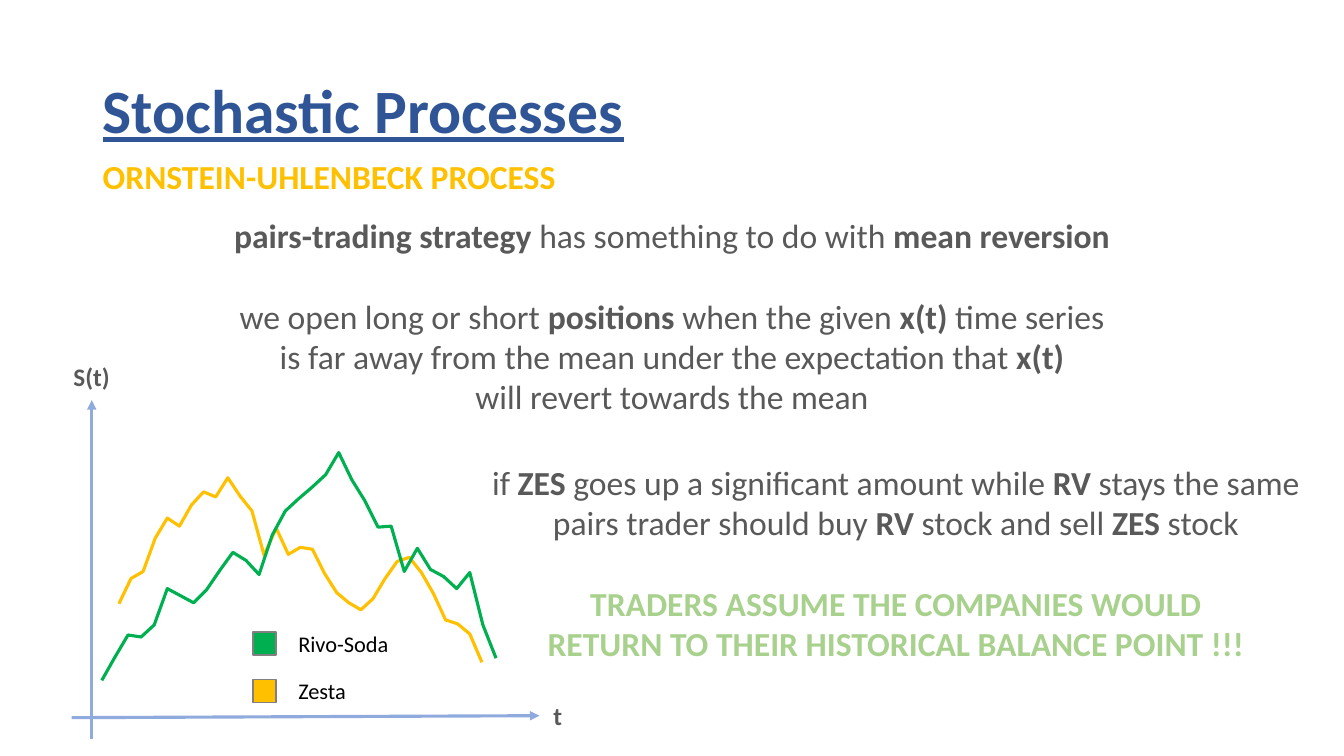
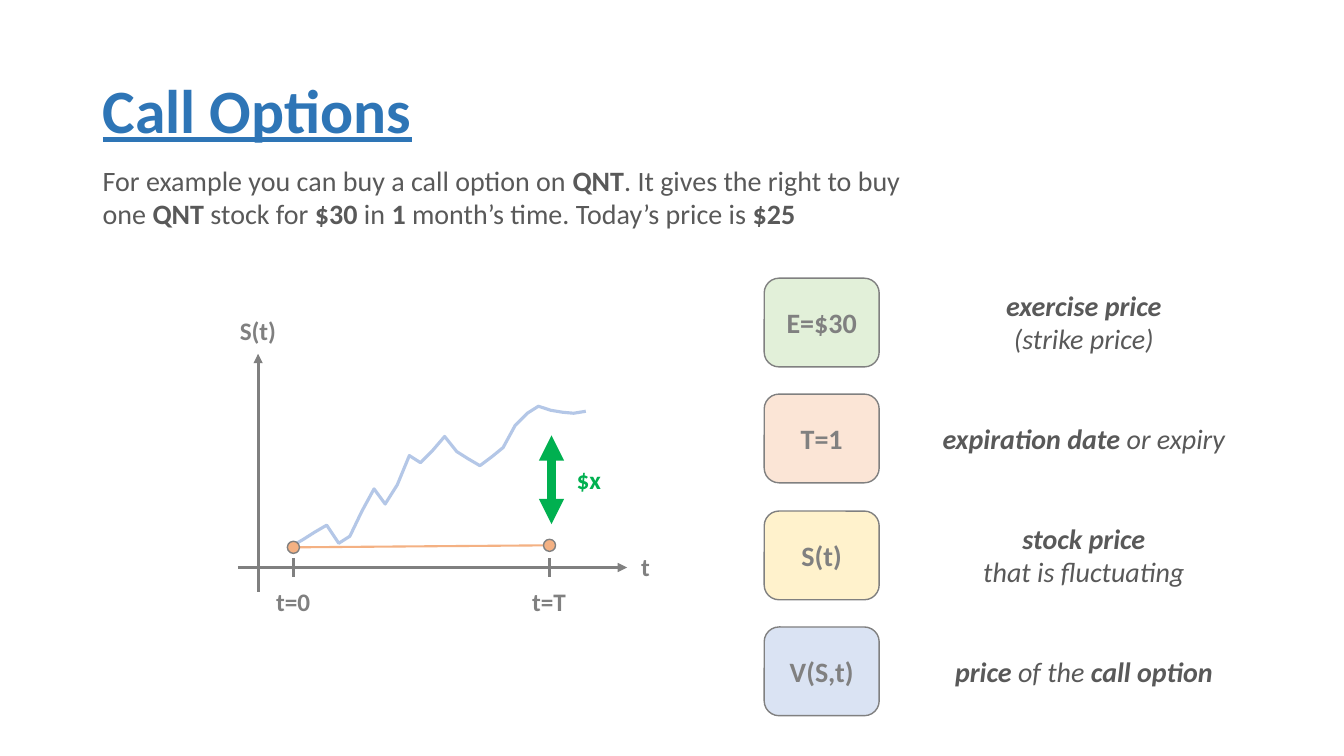
from pptx import Presentation
from pptx.dml.color import RGBColor
from pptx.enum.shapes import MSO_CONNECTOR, MSO_SHAPE
from pptx.enum.text import MSO_ANCHOR, MSO_AUTO_SIZE, PP_ALIGN
from pptx.oxml.ns import qn
from pptx.util import Pt
from lxml.etree import SubElement

PX = 9144  # 100 px to the inch
FONT = "Calibri"
MARGIN = 92
TITLE_BOX = (MARGIN, 40, 1150, 145)
COLORS = {
    "navy": "2F5597", "blue": "2E75B6", "gold": "FFC000", "text": "595959",
    "gray": "808080", "black": "000000", "axis": "8FAADC", "green": "00B050",
    "lime": "A9D18E", "path": "B4C7E7", "orange": "F4B183",
    "mint": "E2F0D9", "peach": "FBE5D6", "cream": "FFF2CC", "ice": "DAE3F3",
}

# Text between asterisks is bold.
STRATEGY = [
    "*pairs-trading strategy* has something to do with *mean reversion*",
    "we open long or short *positions* when the given *x(t)* time series",
    "is far away from the mean under the expectation that* x(t)*",
    "will revert towards the mean",
]
PAIR_TRADE = [
    "if *ZES* goes up a significant amount while *RV* stays the same",
    "pairs trader should buy *RV* stock and sell *ZES* stock",
]
ASSUMPTION = [
    "*TRADERS ASSUME THE COMPANIES WOULD*",
    "*RETURN TO THEIR HISTORICAL BALANCE POINT !!!*",
]
LEGEND = [("Rivo-Soda", "green", 121), ("Zesta", "gold", 72)]
EXAMPLE = [
    "For example you can buy a call option on *QNT*. It gives the right to buy",
    "one *QNT* stock for *$30 *in *1* month’s time. Today’s price is *$25*",
]
TERMS = [  # symbol, card colour, meaning
    ("E=$30", "mint", ["*exercise price*", "(strike price)"]),
    ("T=1", "peach", ["*expiration date* or expiry"]),
    ("S(t)", "cream", ["*stock price*", "that is fluctuating"]),
    ("V(S,t)", "ice", ["*price *of the* call option*"]),
]

# Axes cross at (x, y) and reach from left to right and from bottom to top.
PAIR_AXES = {"x": 91, "y": 711, "left": 71, "right": 535, "top": 397,
             "bottom": 733, "tilt": 1, "color": "axis", "label": "text"}
OPTION_AXES = {"x": 256, "y": 563, "left": 236, "right": 622, "top": 351,
               "bottom": 587, "tilt": 0, "color": "gray", "label": "gray"}

# A price series: its first and last x, then heights above the time axis at
# equal time steps between them.
ZESTA = (118, 478, [112, 137, 144, 177, 197, 189, 210, 223, 218, 237, 219,
                    204, 160, 187, 161, 168, 166, 142, 123, 113, 106, 117,
                    137, 154, 158, 143, 122, 96, 92, 82, 54])
RIVO_SODA = (101, 492, [36, 59, 81, 79, 91, 127, 120, 113, 126, 145, 163,
                        155, 141, 180, 204, 216, 228, 240, 262, 235, 214,
                        188, 189, 144, 167, 146, 139, 127, 143, 91, 58])
OPTION_STOCK = (289, 581, [21, 28, 35, 42, 24, 31, 56, 78, 63, 82, 111, 104,
                           116, 130, 115, 108, 101, 110, 119, 141, 153, 160,
                           156, 154, 153, 155])
TIMES = [("t=0", 291, 20), ("t=T", 545, 22)]  # label, x, height of the dot

LEGEND_TOP, LEGEND_PITCH, SWATCH = 620, 47, 23
TICK, DOT = 9, 6  # half sizes
CARD_LEFT, CARD_TOP, CARD_W, CARD_H, CARD_SPAN = 758, 276, 114, 88, 346
MEANING_LEFT, MEANING_W, MEANING_LINE, MEANING_PAD = 924, 302, 33, 11


def rgb(name):
    return RGBColor.from_string(COLORS[name])


def emu(lengths):
    return [v * PX for v in lengths]


def write(tf, lines, size, color, align=PP_ALIGN.LEFT, italic=False):
    """Fill a text frame, one paragraph a line, with bold between asterisks."""
    for i, line in enumerate(lines):
        p = tf.add_paragraph() if i else tf.paragraphs[0]
        p.alignment = align
        for j, part in enumerate(line.split("*")):
            if not part:
                continue
            r = p.add_run()
            r.text = part
            r.font.name, r.font.size = FONT, Pt(size)
            r.font.bold, r.font.italic = j % 2 == 1, italic
            r.font.color.rgb = rgb(color)


def add_text(s, box, lines, size, color, **style):
    tf = s.shapes.add_textbox(*emu(box)).text_frame
    tf.word_wrap = False
    tf.auto_size = MSO_AUTO_SIZE.SHAPE_TO_FIT_TEXT
    write(tf, lines, size, color, **style)
    return tf


def add_label(s, left, top, width, text, color):
    add_text(s, (left, top, width, 40), [f"*{text}*"], 18, color)


def add_line(s, start, end, color, width=2.25, heads=()):
    """Draw a straight line; heads names the arrowheads: headEnd, tailEnd."""
    line = s.shapes.add_connector(MSO_CONNECTOR.STRAIGHT, *emu(start + end))
    line.line.color.rgb = rgb(color)
    line.line.width = Pt(width)
    for tag in heads:
        SubElement(line.line._get_or_add_ln(), qn("a:" + tag), type="triangle")
    SubElement(line._element.spPr, qn("a:effectLst"))


def add_axes(s, axes):
    x, y, tilt = axes["x"], axes["y"], axes["tilt"]
    price_axis = (x, axes["bottom"]), (x, axes["top"])
    time_axis = (axes["left"], y + tilt), (axes["right"], y - tilt)
    for start, end in (price_axis, time_axis):
        add_line(s, start, end, axes["color"], heads=["tailEnd"])
    add_label(s, x - 28, axes["top"] - 43, 57, "S(t)", axes["label"])
    add_label(s, axes["right"] + 4, y - 21, 29, "t", axes["label"])


def add_series(s, axes, series, color):
    """Draw a price series as an open outline above the time axis."""
    first, last, heights = series
    step = (last - first) / (len(heights) - 1)
    points = [(round(first + i * step), axes["y"] - height)
              for i, height in enumerate(heights)]
    builder = s.shapes.build_freeform(*points[0], scale=PX)
    builder.add_line_segments(points[1:], close=False)
    outline = builder.convert_to_shape()
    outline.shadow.inherit = False
    outline.fill.background()
    outline.line.color.rgb = rgb(color)
    outline.line.width = Pt(2.25)


def add_box(s, kind, box, fill):
    sp = s.shapes.add_shape(kind, *emu(box))
    sp.shadow.inherit = False
    sp.fill.solid()
    sp.fill.fore_color.rgb = rgb(fill)
    sp.line.color.rgb = rgb("gray")
    sp.line.width = Pt(1)
    return sp


def add_slide(prs, title, color):
    s = prs.slides.add_slide(prs.slide_layouts[5])
    sp = s.shapes.title
    sp.left, sp.top, sp.width, sp.height = emu(TITLE_BOX)
    tf = sp.text_frame
    tf.vertical_anchor = MSO_ANCHOR.MIDDLE
    write(tf, [f"*{title}*"], 44, color)
    p = tf.paragraphs[0]
    p.line_spacing = 0.9
    p.runs[0].font.underline = True
    return s


def add_legend(s):
    for i, (name, color, width) in enumerate(LEGEND):
        top = LEGEND_TOP + i * LEGEND_PITCH
        add_box(s, MSO_SHAPE.RECTANGLE, (251, top + 7, SWATCH, SWATCH), color)
        add_text(s, (286, top, width, 37), [name], 16, "black")


def add_times(s, axes):
    """Mark the start and expiry: ticks, labels and two joined dots."""
    y = axes["y"]
    centers = [(x, y - height) for _, x, height in TIMES]
    add_line(s, *centers, "orange", 1.5)
    for (label, x, _), (_, dot_y) in zip(TIMES, centers):
        add_line(s, (x, y + TICK), (x, y - TICK), "gray")
        add_label(s, x - 27, y + 14, 54, label, "gray")
        add_box(s, MSO_SHAPE.OVAL,
                (x - DOT, dot_y - DOT, 2 * DOT, 2 * DOT), "orange")


def add_terms(s):
    """Stack the symbol cards, each with its meaning centred beside it."""
    for i, (symbol, fill, meaning) in enumerate(TERMS):
        top = CARD_TOP + round(i * CARD_SPAN / (len(TERMS) - 1))
        card = add_box(s, MSO_SHAPE.ROUNDED_RECTANGLE,
                       (CARD_LEFT, top, CARD_W, CARD_H), fill)
        card.text_frame.vertical_anchor = MSO_ANCHOR.MIDDLE
        write(card.text_frame, [f"*{symbol}*"], 20, "gray", PP_ALIGN.CENTER)
        height = MEANING_PAD + MEANING_LINE * len(meaning)
        box = (MEANING_LEFT, top + (CARD_H - height) // 2, MEANING_W, height)
        add_text(s, box, meaning, 20, "text",
                 align=PP_ALIGN.CENTER, italic=True)


def stochastic_slide(prs):
    s = add_slide(prs, "Stochastic Processes", "navy")
    add_text(s, (MARGIN, 150, 474, 50), ["*ORNSTEIN-UHLENBECK PROCESS*"],
             24, "gold")
    center = PP_ALIGN.CENTER
    tf = add_text(s, (218, 208, 897, 252), STRATEGY, 24, "text", align=center)
    tf.paragraphs[1].space_before = Pt(29)
    add_axes(s, PAIR_AXES)
    add_series(s, PAIR_AXES, ZESTA, "gold")
    add_series(s, PAIR_AXES, RIVO_SODA, "green")
    add_legend(s)
    for top, lines, color in ((453, PAIR_TRADE, "text"),
                              (573, ASSUMPTION, "lime")):
        add_text(s, (472, top, 833, 91), lines, 24, color, align=center)


def call_option_slide(prs):
    s = add_slide(prs, "Call Options", "blue")
    add_text(s, (MARGIN, 157, 820, 77), EXAMPLE, 20, "text")
    add_axes(s, OPTION_AXES)
    add_series(s, OPTION_AXES, OPTION_STOCK, "path")
    add_times(s, OPTION_AXES)
    add_line(s, (547, 520), (547, 432), "green", 6, ["headEnd", "tailEnd"])
    add_label(s, 562, 456, 45, "$x", "green")
    add_terms(s)


def main():
    prs = Presentation()
    prs.slide_width, prs.slide_height = emu((1333, 750))
    stochastic_slide(prs)
    call_option_slide(prs)
    prs.save("out.pptx")


if __name__ == "__main__":
    main()
